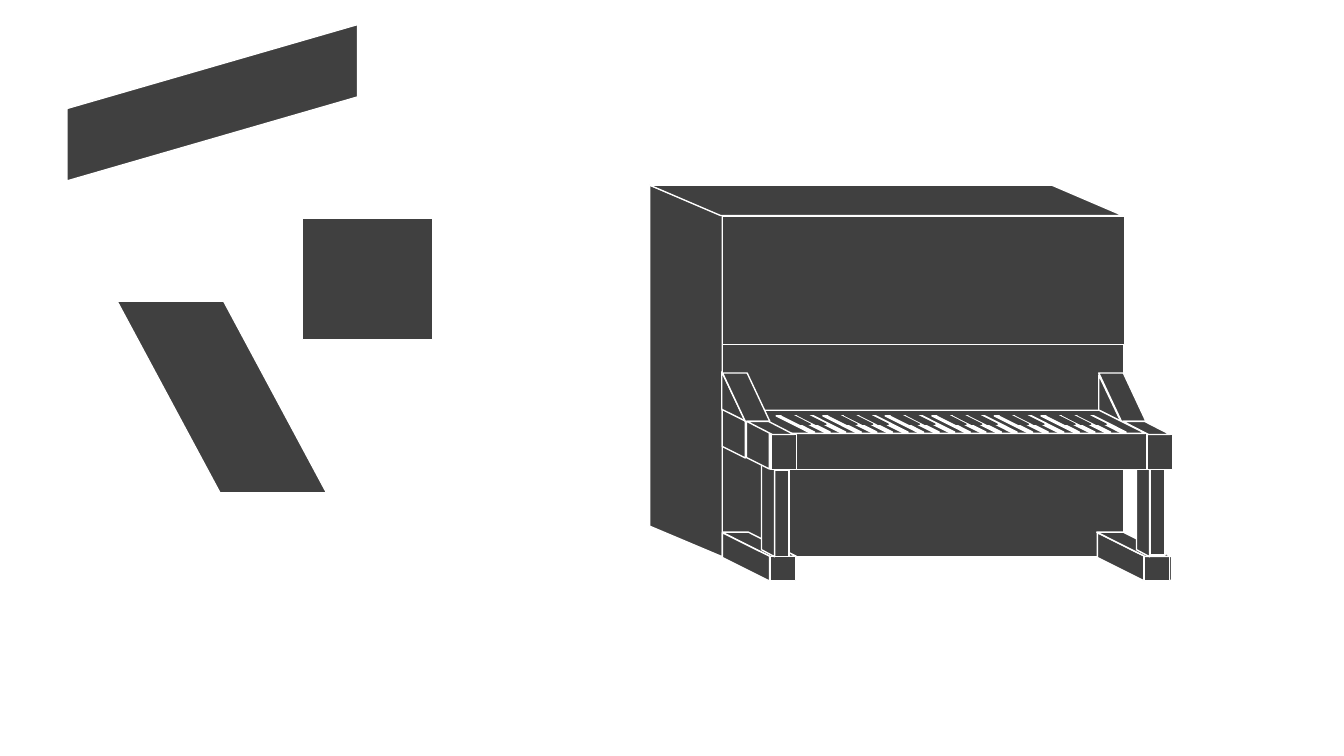
from pptx import Presentation
from pptx.dml.color import RGBColor
from pptx.enum.shapes import MSO_SHAPE
from pptx.util import Cm, Pt

CHARCOAL = RGBColor(0x40, 0x40, 0x40)
WHITE = RGBColor(0xFF, 0xFF, 0xFF)


class Drawing:
    """Draws flat panels on a slide; all lengths are in centimetres."""

    def __init__(self, slide):
        self.slide = slide
        self.shapes = slide.shapes

    def start_group(self):
        self.shapes = self.slide.shapes.add_group_shape().shapes

    def block(self, x, y, w, h, kind=MSO_SHAPE.RECTANGLE, fill=CHARCOAL, line=WHITE):
        panel = self.shapes.add_shape(kind, Cm(x), Cm(y), Cm(w), Cm(h))
        panel.shadow.inherit = False
        panel.fill.solid()
        panel.fill.fore_color.rgb = fill
        panel.line.color.rgb = line
        panel.line.width = Pt(1)
        return panel

    def slanted(self, x, y, w, h, slant, rotation, flip, fill=CHARCOAL, line=WHITE):
        panel = self.block(x, y, w, h, MSO_SHAPE.PARALLELOGRAM, fill, line)
        panel.adjustments[0] = slant
        panel.rotation = rotation
        if flip:
            panel._element.spPr.xfrm.set("flipV", "1")

    def side(self, x, y, w, h, slant, flip=False):
        """Panel with upright left and right edges."""
        self.slanted(x, y, w, h, slant, 90, flip)

    def top(self, x, y, w, h, slant, fill=CHARCOAL, line=WHITE):
        """Panel with level upper and lower edges."""
        self.slanted(x, y, w, h, slant, 180, True, fill, line)


def draw_samples(drawing):
    drawing.side(3.38, -1.07, 3.94, 7.32, 0.537, flip=True)
    drawing.top(2.95, 7.59, 5.28, 4.83, 0.537)
    drawing.block(7.62, 5.49, 3.28, 3.07)


def draw_case(drawing):
    # Right wall, lower front and the parts behind the keyboard
    drawing.side(22.71, 8.43, 9.37, 1.83, 0.421)
    drawing.block(18.19, 8.51, 10.13, 5.51)
    drawing.side(26.9, 10.24, 2.16, 0.58, 2.107)
    drawing.top(18.24, 10.36, 10.64, 0.58, 1.99)
    drawing.top(18.19, 13.41, 1.88, 0.61, 1.986)
    # Left wall and foot, lid, upper front, left arm
    drawing.side(12.6, 8.43, 9.37, 1.83, 0.421)
    drawing.side(18.19, 13.44, 1.22, 1.19, 0.499)
    drawing.top(16.38, 4.67, 11.91, 0.76, 2.334)
    drawing.block(18.21, 5.44, 10.13, 3.25)
    drawing.side(17.4, 10.16, 2.16, 0.58, 2.107)
    drawing.side(17.88, 10.64, 1.22, 0.58, 0.499)


def draw_legs(drawing):
    # Right foot
    for foot_x in (28.32, 27.64):
        drawing.side(foot_x, 13.44, 1.22, 1.19, 0.499)
    drawing.block(28.83, 14.02, 0.64, 0.61)
    drawing.top(27.64, 13.41, 1.88, 0.61, 1.986)
    # Left foot end, then both legs
    drawing.block(19.41, 14.02, 0.64, 0.61)
    for leg_x, leg_y, leg_side_x in ((19.51, 11.84, 18.11), (28.98, 11.81, 27.56)):
        drawing.block(leg_x, leg_y, 0.38, 2.18)
        drawing.side(leg_side_x, 12.62, 2.49, 0.33, 0.537)


def draw_arm_top(drawing, slope_x, ledge_x):
    drawing.top(slope_x, 9.4, 1.19, 1.22, 0.48)
    drawing.top(ledge_x, 10.62, 1.19, 0.33, 1.948)


def draw_keyboard(drawing):
    # Key rail with its end blocks
    drawing.side(18.49, 10.92, 1.22, 0.58, 0.499)
    drawing.block(19.43, 10.92, 10.13, 0.91)
    for end_x in (19.43, 28.91):
        drawing.block(end_x, 10.95, 0.64, 0.89)
    draw_arm_top(drawing, 27.69, 28.3)
    drawing.top(18.75, 10.34, 10.11, 0.58, 1.99)

    # Three octaves of white keys, black keys in groups of two and three
    white_keys = 21
    key_step = 7.85 / (white_keys - 1)
    for key in range(white_keys):
        drawing.top(19.56 + key * key_step, 10.48, 0.97, 0.41, 1.99, fill=WHITE)
    for key in range(white_keys):
        if key % 7 in (0, 1, 3, 4, 5):
            drawing.top(19.71 + key * key_step, 10.46, 0.71, 0.23, 1.99, line=CHARCOAL)

    draw_arm_top(drawing, 18.21, 18.82)


def main():
    deck = Presentation()
    deck.slide_width, deck.slide_height = Cm(33.87), Cm(19.05)
    drawing = Drawing(deck.slides.add_slide(deck.slide_layouts[6]))

    draw_samples(drawing)

    # Upright piano
    drawing.start_group()
    draw_case(drawing)
    draw_legs(drawing)
    draw_keyboard(drawing)

    deck.save("out.pptx")


if __name__ == "__main__":
    main()
